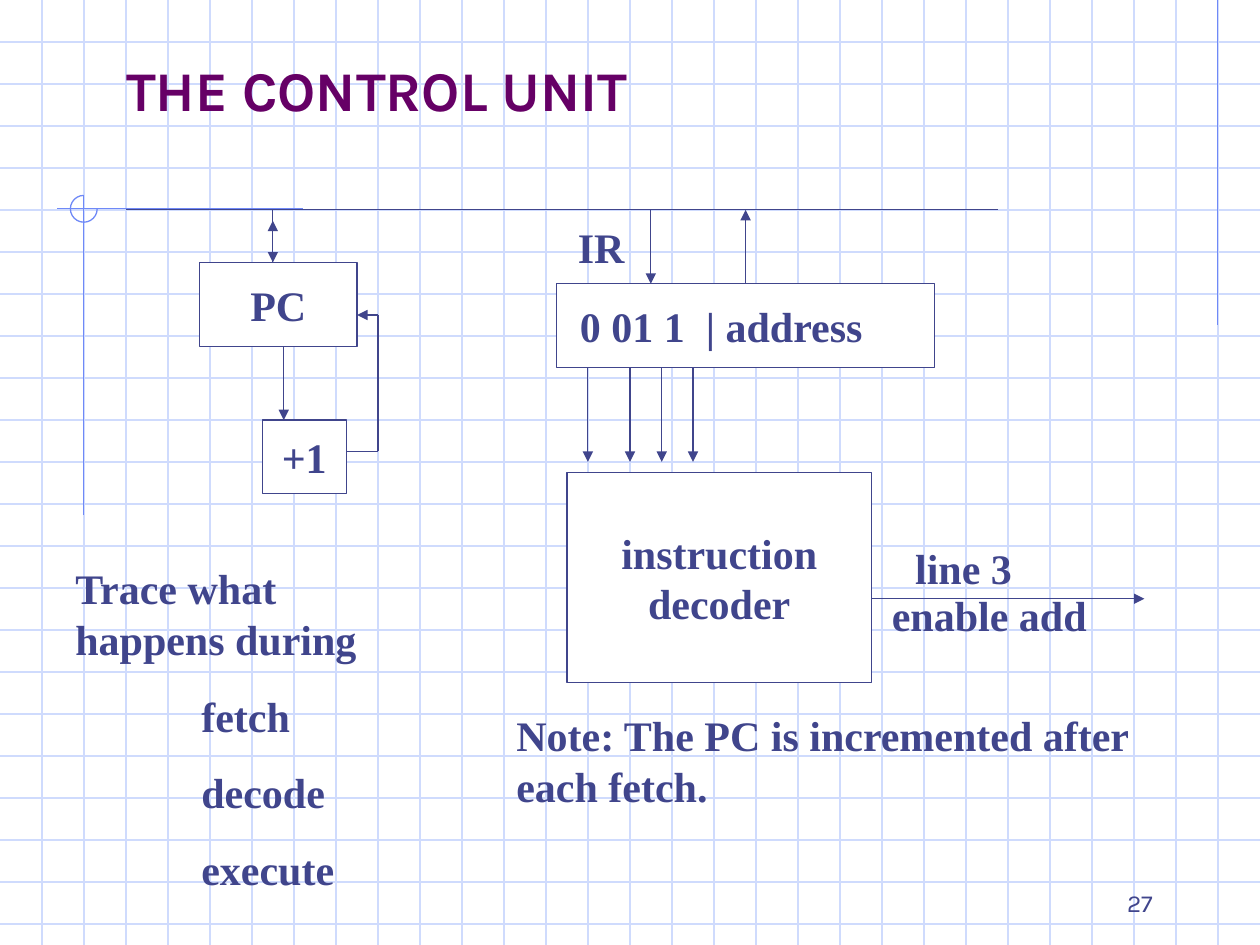
from lxml import etree
from pptx import Presentation
from pptx import util as u
from pptx.dml.color import RGBColor
from pptx.enum import shapes, text
from pptx.oxml.ns import qn

COLORS = {"ink": "40458C", "title": "660066", "grid": "CFDBFD",
          "ornament": "6F89F7", "white": "FFFFFF"}
BODY_FONT, HEADING_FONT = "Times New Roman", "Karla"
WIDTH, HEIGHT = 25.4, 19.05
GRID_COLUMNS, GRID_ROWS = 29, 22
BUS_Y = 4.23


def color(name):
    return RGBColor.from_string(COLORS[name])


def write(shape, lines, size=24, font=BODY_FONT, fill="ink", bold=True,
          align=text.PP_ALIGN.LEFT, anchor=text.MSO_ANCHOR.TOP, wrap=True,
          space=0, indent=0, left_inset=0.25, tab=None):
    """Fill a shape with paragraphs; space and indent apply after the first."""
    frame = shape.text_frame
    frame.auto_size = text.MSO_AUTO_SIZE.NONE
    frame.word_wrap = wrap
    frame.vertical_anchor = anchor
    frame.margin_left, frame.margin_right = u.Cm(left_inset), u.Cm(0.25)
    frame.margin_top = frame.margin_bottom = u.Cm(0.13)
    for index, line in enumerate(lines):
        paragraph = frame.paragraphs[0] if index == 0 else frame.add_paragraph()
        paragraph.text = line
        paragraph.alignment = align
        properties = paragraph._p.get_or_add_pPr()
        if index:
            paragraph.space_before = u.Pt(space)
            properties.set("marL", str(u.Cm(indent)))
        if tab:
            tabs = etree.SubElement(properties, qn("a:tabLst"))
            etree.SubElement(tabs, qn("a:tab"), pos=str(u.Cm(tab)), algn="l")
        paragraph.font.size = u.Pt(size)
        paragraph.font.name = font
        paragraph.font.bold = bold
        paragraph.font.color.rgb = color(fill)


def add_text(slide, box, lines, **style):
    write(slide.shapes.add_textbox(*map(u.Cm, box)), lines, **style)


def add_box(slide, box, lines, **style):
    shape = slide.shapes.add_shape(shapes.MSO_SHAPE.RECTANGLE, *map(u.Cm, box))
    shape.shadow.inherit = False
    shape.fill.solid()
    shape.fill.fore_color.rgb = color("white")
    shape.line.color.rgb = color("ink")
    shape.line.width = u.Pt(0.75)
    write(shape, lines, anchor=text.MSO_ANCHOR.MIDDLE, **style)
    return shape


def add_line(parent, x1, y1, x2, y2, stroke="ink", arrow=False):
    line = parent.shapes.add_connector(
        shapes.MSO_CONNECTOR.STRAIGHT, *map(u.Cm, (x1, y1, x2, y2)))
    line.line.color.rgb = color(stroke)
    line.line.width = u.Pt(0.75)
    properties = line._element.spPr
    if arrow:
        etree.SubElement(properties.find(qn("a:ln")), qn("a:tailEnd"),
                         type="triangle")
    etree.SubElement(properties, qn("a:effectLst"))
    return line


def add_background(slide):
    """Draw the squared paper and its ornaments behind everything else."""
    group = slide.shapes.add_group_shape()
    step = WIDTH / (GRID_COLUMNS + 1)
    for row in range(1, GRID_ROWS + 1):
        add_line(group, 0, row * step, WIDTH, row * step, "grid")
    for column in range(1, GRID_COLUMNS + 1):
        add_line(group, column * step, 0, column * step, HEIGHT, "grid")
    for ends in ((24.55, 0, 24.55, 6.56), (6.1, 4.21, 1.14, 4.21),
                 (1.69, 3.94, 1.69, 10.39)):
        add_line(group, *ends, stroke="ornament")
    arc = group.shapes.add_shape(shapes.MSO_SHAPE.ARC,
                                 *map(u.Cm, (1.42, 3.94, 0.54, 0.54)))
    arc.adjustments[0], arc.adjustments[1] = 0, 162  # 0 to 270 degrees
    arc.shadow.inherit = False
    arc.fill.background()
    arc.line.color.rgb = color("ornament")
    arc.line.width = u.Pt(0.75)
    slide.shapes._spTree.insert(2, group._element)


def add_title(slide, line):
    title = slide.shapes.title
    title.left, title.top, title.width, title.height = map(
        u.Cm, (2.29, 0.91, 20.4, 1.7))
    write(title, [line], size=32, font=HEADING_FONT, fill="title",
          anchor=text.MSO_ANCHOR.BOTTOM)


def add_program_counter(slide):
    center = text.PP_ALIGN.CENTER
    add_box(slide, (4.02, 5.29, 3.18, 1.69), ["PC"], align=center)
    add_box(slide, (5.29, 8.47, 1.69, 1.48), ["+1"], align=center)
    add_line(slide, 5.72, 6.98, 5.72, 8.47, arrow=True)
    add_line(slide, 6.98, 9.1, 7.62, 9.1)
    add_line(slide, 7.62, 9.1, 7.62, 6.35)
    add_line(slide, 7.62, 6.35, 7.2, 6.35, arrow=True)
    add_line(slide, 5.5, BUS_Y, 5.5, 5.29)
    add_line(slide, 5.5, 4.45, 5.5, 5.29, arrow=True)
    add_line(slide, 5.5, 5.08, 5.5, 4.45, arrow=True)


def add_instruction_path(slide):
    register = add_box(slide, (11.22, 5.72, 7.62, 1.69), ["0 01 1\t| address"],
                       left_inset=0.47, tab=2.54)
    add_text(slide, (11.4, 4.34, 1.45, 1.27), ["IR"], wrap=False)
    add_box(slide, (11.43, 9.53, 6.14, 4.23), ["instruction", "decoder"],
            align=text.PP_ALIGN.CENTER)
    for x in (11.85, 12.7, 13.34, 13.97):
        add_line(slide, x, 7.41, x, 9.31, arrow=True)
    add_line(slide, 17.57, 12.07, 23.07, 12.07, arrow=True)
    add_text(slide, (17.73, 11.76, 4.65, 1.27), ["enable add"])
    add_text(slide, (18.2, 10.8, 3.81, 1.27), ["line 3"])
    add_line(slide, 13.12, BUS_Y, 13.12, 5.72, arrow=True)
    address_out = add_line(slide, 15.03, 5.72, 15.03, BUS_Y, arrow=True)
    address_out.begin_connect(register, 0)


def main():
    presentation = Presentation()
    presentation.slide_width = u.Cm(WIDTH)
    presentation.slide_height = u.Cm(HEIGHT)
    slide = presentation.slides.add_slide(presentation.slide_layouts[5])
    add_background(slide)
    add_title(slide, "THE CONTROL UNIT")
    add_line(slide, 2.54, BUS_Y, 20.11, BUS_Y)
    add_program_counter(slide)
    add_instruction_path(slide)
    add_text(slide, (1.27, 11.22, 7.62, 6.93),
             ["Trace what happens during", "fetch", "decode", "execute"],
             space=15, indent=2.54)
    add_text(slide, (10.16, 14.18, 14.18, 2.29),
             ["Note: The PC is incremented after each fetch."])
    add_text(slide, (18.2, 17.36, 5.29, 1.27), ["27"], size=14,
             font=HEADING_FONT, bold=False, align=text.PP_ALIGN.RIGHT,
             anchor=text.MSO_ANCHOR.BOTTOM)
    presentation.save("out.pptx")


if __name__ == "__main__":
    main()
